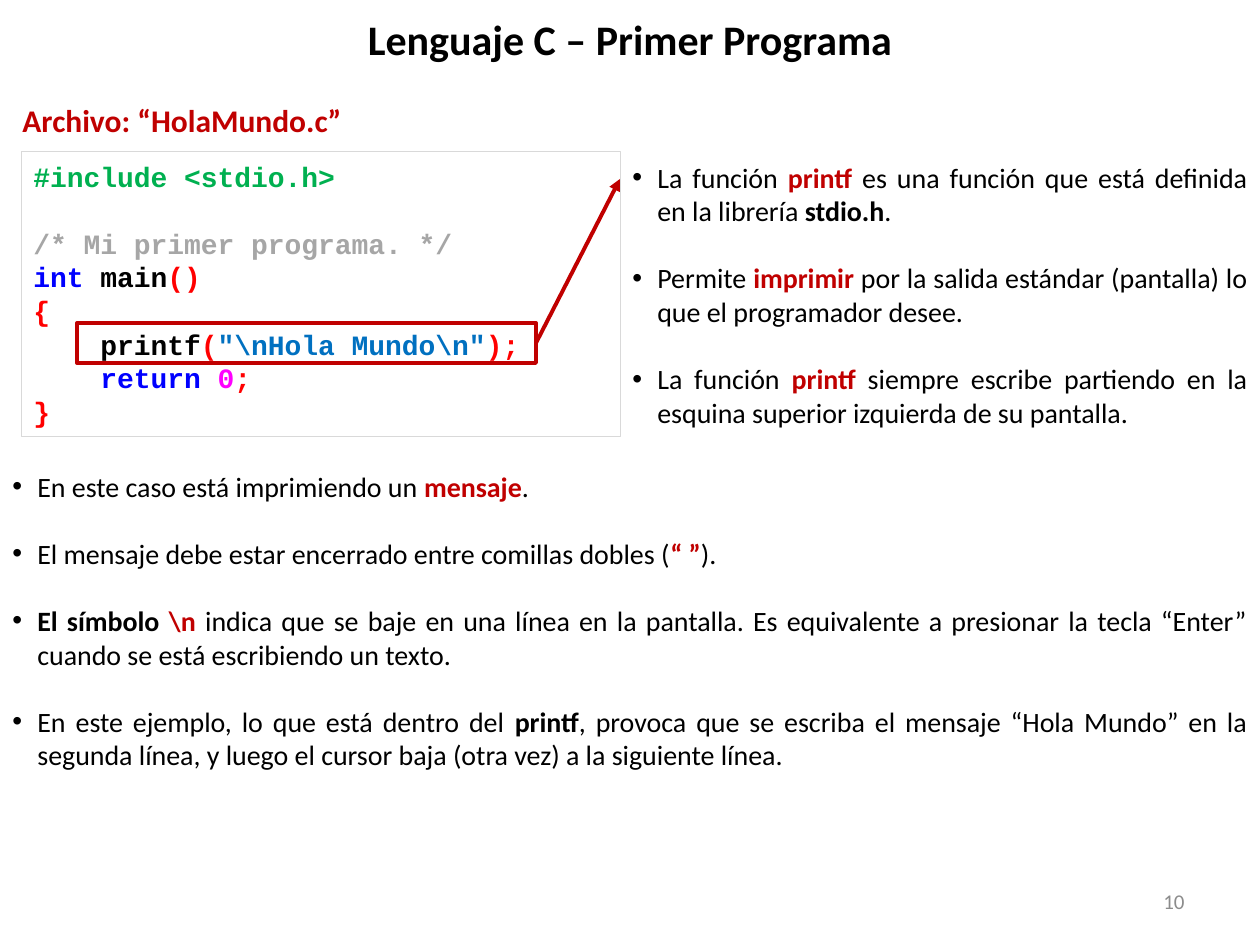
from lxml import etree
from pptx import Presentation
from pptx import util as u
from pptx.dml.color import RGBColor
from pptx.enum import shapes, text
from pptx.oxml.ns import qn

BLACK = RGBColor(0x00, 0x00, 0x00)
RED = RGBColor(0xC0, 0x00, 0x00)
GREY = RGBColor(0x8C, 0x8C, 0x8C)
BORDER = RGBColor(0xD9, 0xD9, 0xD9)
DIRECTIVE = RGBColor(0x00, 0xB0, 0x50)
COMMENT = RGBColor(0xA6, 0xA6, 0xA6)
KEYWORD = RGBColor(0x00, 0x00, 0xFF)
SYMBOL = RGBColor(0xFF, 0x00, 0x00)
STRING = RGBColor(0x00, 0x70, 0xC0)
NUMBER = RGBColor(0xFF, 0x00, 0xFF)
LINE_HEIGHT = u.Pt(19.2)


def px(value):
    return u.Emu(round(value * 914400 / 126))


def add_runs(paragraph, pieces, font_name, size):
    for content, color, bold in pieces:
        run = paragraph.add_run()
        run.text = content
        run.font.name = font_name
        run.font.size = u.Pt(size)
        run.font.bold = bold
        run.font.color.rgb = color


presentation = Presentation()
presentation.slide_width = px(1260)
presentation.slide_height = px(945)
slide = presentation.slides.add_slide(presentation.slide_layouts[5])

title = slide.shapes.title
title.left, title.top, title.width, title.height = px(63), px(0), px(1134), px(78)
title.text_frame.vertical_anchor = text.MSO_ANCHOR.MIDDLE
title.text_frame.paragraphs[0].alignment = text.PP_ALIGN.CENTER
add_runs(title.text_frame.paragraphs[0],
         [("Lenguaje C – Primer Programa", BLACK, True)], "Calibri", 24)

frames = []
for left, top, width, height, line_color, line_width in [
    (21, 151, 599, 285, BORDER, 0.25),
    (77, 323, 459, 40, RED, 2.25),
]:
    shape = slide.shapes.add_shape(
        shapes.MSO_SHAPE.RECTANGLE, px(left), px(top), px(width), px(height))
    shape.shadow.inherit = False
    shape.fill.background()
    shape.line.color.rgb = line_color
    shape.line.width = u.Pt(line_width)
    frames.append(shape)

code_lines = [
    (0, [("#include <stdio.h>", DIRECTIVE)]),
    (0, [("/* Mi primer programa. */", COMMENT)]),
    (0, [("int ", KEYWORD), ("main", BLACK), ("()", SYMBOL)]),
    (0, [("{", SYMBOL)]),
    (67, [("printf", BLACK), ("(", SYMBOL), ('"\\nHola Mundo\\n"', STRING), (");", SYMBOL)]),
    (67, [("return ", KEYWORD), ("0", NUMBER), (";", SYMBOL)]),
    (0, [("}", SYMBOL)]),
]
code = frames[0].text_frame
code.word_wrap = True
code.vertical_anchor = text.MSO_ANCHOR.MIDDLE
for index, (indent, pieces) in enumerate(code_lines):
    paragraph = code.add_paragraph() if index else code.paragraphs[0]
    paragraph.alignment = text.PP_ALIGN.LEFT
    paragraph.line_spacing = LINE_HEIGHT
    paragraph.space_before = LINE_HEIGHT if index == 1 else u.Pt(0)
    paragraph._p.get_or_add_pPr().set("marL", str(px(indent)))
    add_runs(paragraph, [(content, color, True) for content, color in pieces],
             "Courier New", 16)

arrow = slide.shapes.add_connector(
    shapes.MSO_CONNECTOR.STRAIGHT, px(536), px(343), px(620), px(179))
arrow.line.color.rgb = RED
arrow.line.width = u.Pt(2.25)
etree.SubElement(arrow.line._get_or_add_ln(), qn("a:tailEnd"), type="triangle")
etree.SubElement(arrow._element.spPr, qn("a:effectLst"))

bullet_boxes = [
    (620, 154, 640, 285, [
        [("La función ", BLACK, False), ("printf ", RED, True),
         ("es una función que está definida en la librería ", BLACK, False),
         ("stdio.h", BLACK, True), (".", BLACK, False)],
        [("Permite ", BLACK, False), ("imprimir", RED, True),
         (" por la salida estándar (pantalla) lo que el programador desee.", BLACK, False)],
        [("La función ", BLACK, False), ("printf ", RED, True),
         ("siempre escribe partiendo en la esquina superior izquierda de su pantalla.",
          BLACK, False)],
    ]),
    (0, 463, 1260, 317, [
        [("En este caso está imprimiendo un ", BLACK, False), ("mensaje", RED, True),
         (".", BLACK, False)],
        [("El mensaje debe estar encerrado entre comillas dobles (", BLACK, False),
         ("“ ”", RED, True), (").", BLACK, False)],
        [("El símbolo ", BLACK, True), ("\\n ", RED, True),
         ("indica que se baje en una línea en la pantalla. Es equivalente a presionar "
          "la tecla “Enter” cuando se está escribiendo un texto. ", BLACK, False)],
        [("En este ejemplo, lo que está dentro del ", BLACK, False), ("printf", BLACK, True),
         (", provoca que se escriba el mensaje “Hola Mundo” en la segunda línea, y luego "
          "el cursor baja (otra vez) a la siguiente línea.", BLACK, False)],
    ]),
]
for left, top, width, height, bullets in bullet_boxes:
    box = slide.shapes.add_textbox(px(left), px(top), px(width), px(height))
    box.text_frame.word_wrap = True
    for index, pieces in enumerate(bullets):
        paragraph = box.text_frame.add_paragraph() if index else box.text_frame.paragraphs[0]
        paragraph.alignment = text.PP_ALIGN.JUSTIFY
        paragraph.space_before = LINE_HEIGHT if index else u.Pt(0)
        properties = paragraph._p.get_or_add_pPr()
        properties.set("marL", str(px(25)))
        properties.set("indent", str(px(-25)))
        etree.SubElement(properties, qn("a:buFont"), typeface="Arial")
        etree.SubElement(properties, qn("a:buChar"), char="•")
        add_runs(paragraph, pieces, "Calibri", 16)

for left, top, width, height, content, color, bold, size, alignment, anchor, wrap in [
    (10, 95, 348, 50, "Archivo: “HolaMundo.c”", RED, True, 18,
     text.PP_ALIGN.LEFT, text.MSO_ANCHOR.TOP, False),
    (903, 876, 294, 50, "10", GREY, False, 12,
     text.PP_ALIGN.RIGHT, text.MSO_ANCHOR.MIDDLE, True),
]:
    box = slide.shapes.add_textbox(px(left), px(top), px(width), px(height))
    box.text_frame.word_wrap = wrap
    box.text_frame.vertical_anchor = anchor
    box.text_frame.paragraphs[0].alignment = alignment
    add_runs(box.text_frame.paragraphs[0], [(content, color, bold)], "Calibri", size)

presentation.save("out.pptx")
